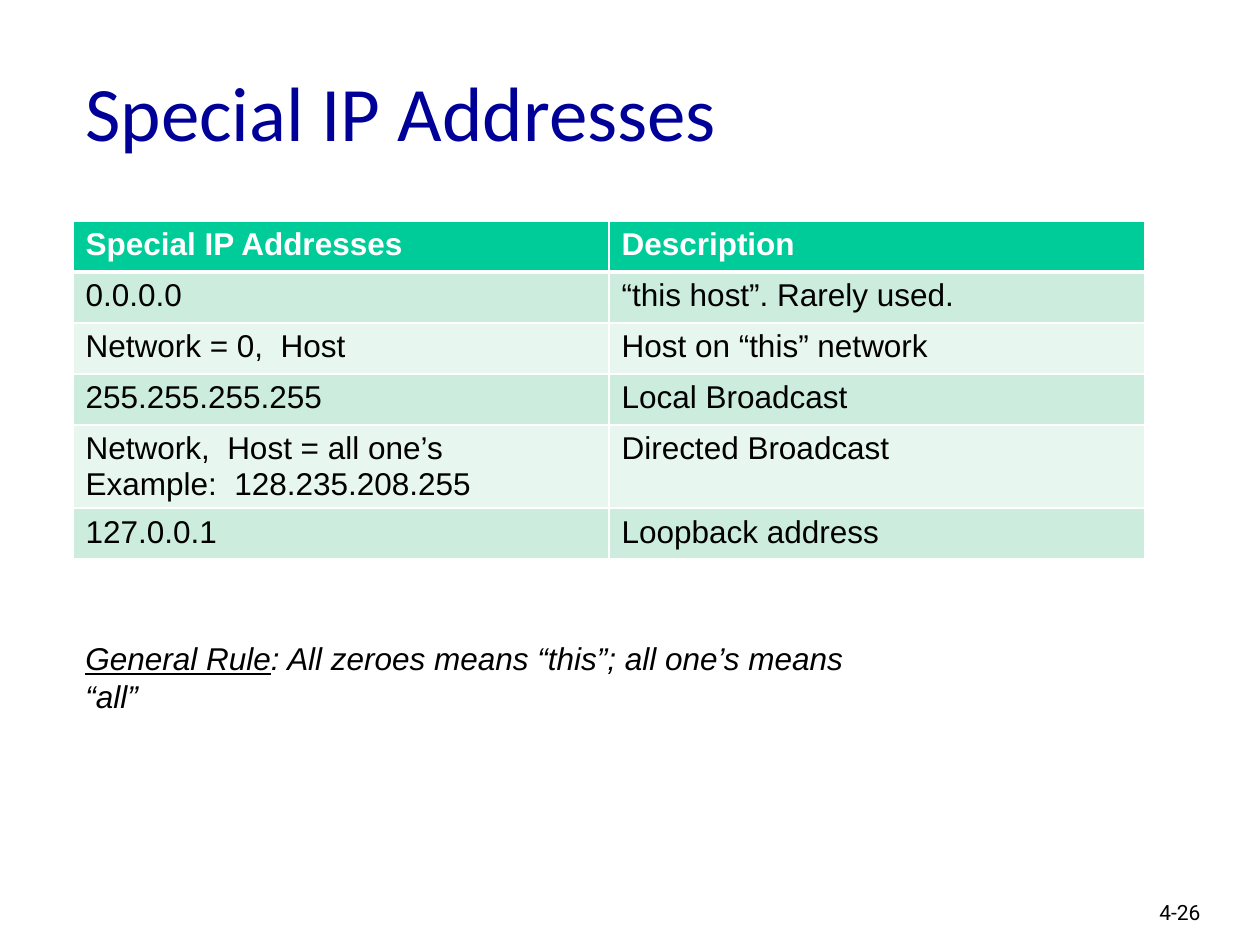
"""Build the slide on special IP addresses."""
from dataclasses import dataclass

from lxml import etree
from pptx import Presentation
from pptx.dml.color import RGBColor
from pptx.enum.text import MSO_ANCHOR
from pptx.oxml.ns import qn
from pptx.util import Pt

EMU_PER_PX = 914400 // 126
MIDDLE, TOP = MSO_ANCHOR.MIDDLE, MSO_ANCHOR.TOP
BLACK = RGBColor(0x00, 0x00, 0x00)
WHITE = RGBColor(0xFF, 0xFF, 0xFF)
NAVY = RGBColor(0x00, 0x00, 0x99)
GREEN = RGBColor(0x00, 0xCC, 0x99)
BANDS = (RGBColor(0xCC, 0xEC, 0xDE), RGBColor(0xE7, 0xF6, 0xEF))

BODY = {"name": "Arial", "size": Pt(18)}
HEADER_ROW = ("Special IP Addresses", "Description")
ADDRESS_ROWS = (
    ("0.0.0.0", "“this host”. Rarely used."),
    ("Network = 0,  Host", "Host on “this” network"),
    ("255.255.255.255", "Local Broadcast"),
    ("Network,  Host = all one’s\nExample:  128.235.208.255", "Directed Broadcast"),
    ("127.0.0.1", "Loopback address"),
)
TABLE_LEFT, TABLE_TOP, COLUMN_WIDTH = 73, 221, 536
ROW_HEIGHT, TALL_ROW_HEIGHT = 51, 83


@dataclass(frozen=True)
class Run:
    text: str
    font: dict
    color: RGBColor = BLACK


@dataclass(frozen=True)
class Label:
    left: int
    top: int
    width: int
    height: int
    runs: tuple[Run, ...]
    anchor: MSO_ANCHOR = TOP
    wrap: bool = True


LABELS = (
    Label(73, 32, 1071, 157,
          (Run("Special IP Addresses", {"name": "Calibri", "size": Pt(44)}, NAVY),),
          anchor=MIDDLE),
    Label(1147, 893, 93, 38, (Run("4-26", {"name": "Roboto", "size": Pt(12)}),)),
    Label(73, 633, 844, 50,
          (Run("General Rule", BODY | {"italic": True, "underline": True}),
           Run(": All zeroes means “this”; all one’s means “all”",
               BODY | {"italic": True})),
          wrap=False),
)


def px(length: int) -> int:
    """Turn pixels into EMU."""
    return length * EMU_PER_PX


def add_run(p, run: Run) -> None:
    """Add one formatted run to a paragraph."""
    r = p.add_run()
    r.text = run.text
    for name, value in run.font.items():
        setattr(r.font, name, value)
    r.font.color.rgb = run.color


def add_label(s, label: Label) -> None:
    """Add one text box."""
    box = s.shapes.add_textbox(px(label.left), px(label.top),
                               px(label.width), px(label.height))
    tf = box.text_frame
    tf.word_wrap = label.wrap
    tf.vertical_anchor = label.anchor
    for run in label.runs:
        add_run(tf.paragraphs[0], run)


def set_borders(cell, widths: dict[str, int]) -> None:
    """Draw white borders, widths in points by side."""
    tc_pr = cell._tc.get_or_add_tcPr()
    for index, (side, width) in enumerate(widths.items()):
        ln = etree.Element(qn(f"a:ln{side}"), w=str(Pt(width)))
        fill = etree.SubElement(ln, qn("a:solidFill"))
        etree.SubElement(fill, qn("a:srgbClr"), val=str(WHITE))
        tc_pr.insert(index, ln)


def fill_cell(cell, text: str, row: int) -> None:
    """Write and style one table cell."""
    is_header = row == 0
    font = BODY | {"bold": is_header}
    tf = cell.text_frame
    for index, line in enumerate(text.split("\n")):
        p = tf.add_paragraph() if index else tf.paragraphs[0]
        add_run(p, Run(line, font, WHITE if is_header else BLACK))
    cell.fill.solid()
    cell.fill.fore_color.rgb = GREEN if is_header else BANDS[(row - 1) % 2]
    set_borders(cell, {"L": 1, "R": 1, "T": 3 if row == 1 else 1,
                       "B": 3 if is_header else 1})


def add_address_table(s) -> None:
    """Add the table of special addresses."""
    rows = (HEADER_ROW, *ADDRESS_ROWS)
    heights = [TALL_ROW_HEIGHT if "\n" in row[0] else ROW_HEIGHT for row in rows]
    columns = len(HEADER_ROW)
    table = s.shapes.add_table(len(rows), columns, px(TABLE_LEFT), px(TABLE_TOP),
                               px(columns * COLUMN_WIDTH), px(sum(heights))).table
    for column in table.columns:
        column.width = px(COLUMN_WIDTH)
    for i, (texts, height) in enumerate(zip(rows, heights)):
        table.rows[i].height = px(height)
        for j, text in enumerate(texts):
            fill_cell(table.cell(i, j), text, i)


def main() -> None:
    """Build and save the slide."""
    prs = Presentation()
    prs.slide_width, prs.slide_height = px(1260), px(945)
    s = prs.slides.add_slide(prs.slide_layouts[6])
    add_address_table(s)
    for label in LABELS:
        add_label(s, label)
    prs.save("out.pptx")


if __name__ == "__main__":
    main()
